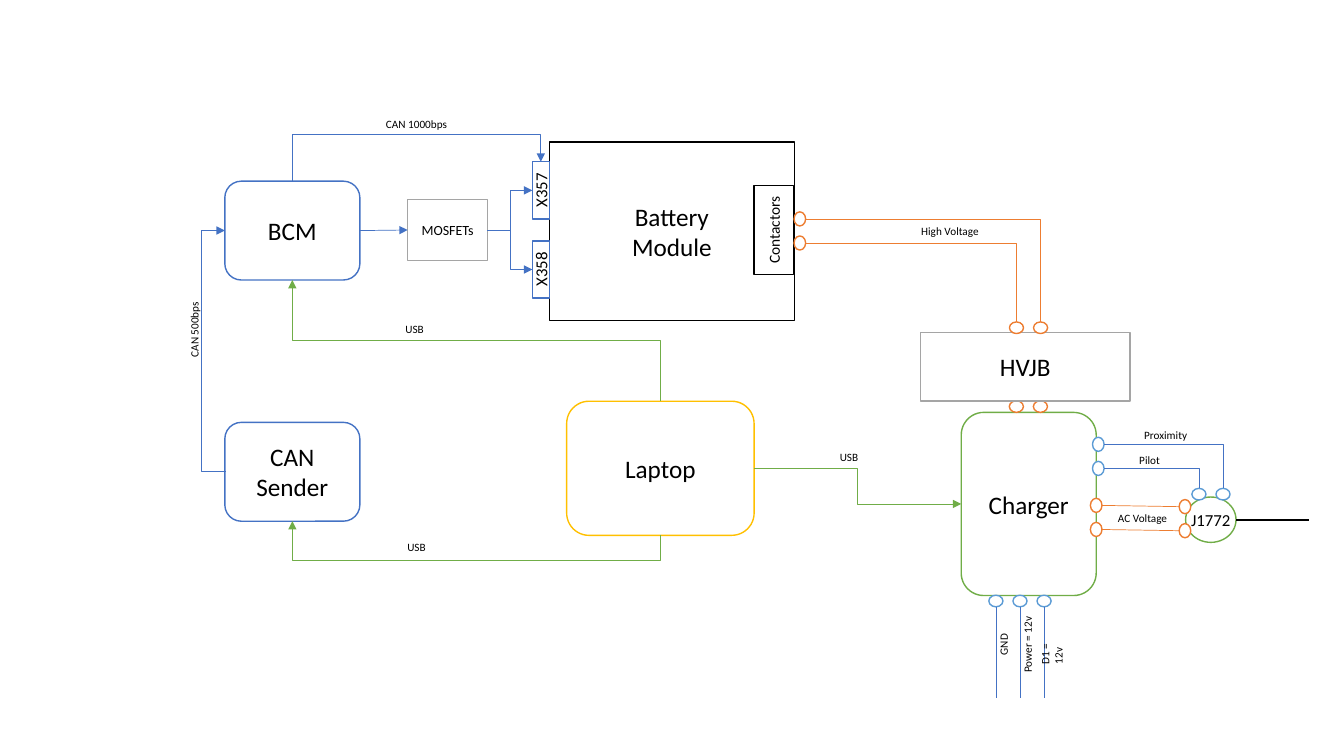
from collections import namedtuple

from lxml.etree import SubElement
from pptx import Presentation
from pptx.dml.color import RGBColor
from pptx.enum.shapes import MSO_CONNECTOR, MSO_SHAPE
from pptx.enum.text import MSO_ANCHOR, MSO_AUTO_SIZE, PP_ALIGN
from pptx.oxml.ns import qn
from pptx.util import Pt

BLACK = RGBColor(0x00, 0x00, 0x00)
WHITE = RGBColor(0xFF, 0xFF, 0xFF)
BLUE = RGBColor(0x44, 0x72, 0xC4)
SKY = RGBColor(0x5B, 0x9B, 0xD5)
GREEN = RGBColor(0x70, 0xAD, 0x47)
ORANGE = RGBColor(0xED, 0x7D, 0x31)
GOLD = RGBColor(0xFF, 0xC0, 0x00)
GRAY = RGBColor(0xA5, 0xA5, 0xA5)

PITCH = 17.2
PIN_SHORT, PIN_LONG = 8.3, 10.1
PIN_REACH = PIN_SHORT / 2


class Box(namedtuple("Box", "left top width height")):
    """A rectangle in points with its derived edges and centre."""

    right = property(lambda self: self.left + self.width)
    bottom = property(lambda self: self.top + self.height)
    middle = property(lambda self: self.left + self.width / 2)
    level = property(lambda self: self.top + self.height / 2)

    def turned(self):
        """Return the box with its sides swapped about the same centre."""
        return centred(self.middle, self.level, self.height, self.width)

    def lengths(self):
        """Return the four measures as lengths."""
        return [Pt(value) for value in self]


def centred(x, y, width, height):
    """Return a box around a centre point."""
    return Box(x - width / 2, y - height / 2, width, height)


def write(frame, text, size=18, align=PP_ALIGN.CENTER, wrap=True, inset=None):
    """Fill a text frame with one paragraph per line of text."""
    frame.word_wrap = wrap
    frame.vertical_anchor = MSO_ANCHOR.MIDDLE
    if inset is not None:
        frame.margin_left = frame.margin_right = Pt(inset)
        frame.margin_top = frame.margin_bottom = Pt(inset)
    for number, line in enumerate(text.split("\n")):
        para = frame.paragraphs[0] if number == 0 else frame.add_paragraph()
        para.alignment = align
        span = para.add_run()
        span.text = line
        span.font.name = "Calibri"
        span.font.size = Pt(size)
        span.font.color.rgb = BLACK


def block(page, preset, box, color, text="", upright=False, **style):
    """Draw an outlined white shape, its text upright if asked."""
    place = box.turned() if upright else box
    shape = page.shapes.add_shape(preset, *place.lengths())
    shape.rotation = 270 if upright else 0
    shape.shadow.inherit = False
    shape.fill.solid()
    shape.fill.fore_color.rgb = WHITE
    shape.line.color.rgb = color
    shape.line.width = Pt(1)
    if text:
        write(shape.text_frame, text, **style)
    return shape


def label(page, text, x, y, width, upright=False):
    """Write a small wire label around a centre point."""
    shape = page.shapes.add_textbox(*centred(x, y, width, 17).lengths())
    shape.rotation = 270 if upright else 0
    write(shape.text_frame, text, size=8, align=PP_ALIGN.LEFT, wrap=False)
    shape.text_frame.auto_size = MSO_AUTO_SIZE.SHAPE_TO_FIT_TEXT


def pins(page, x, y, color, count=2, row=False):
    """Draw a row or column of terminals and return their centres."""
    size = (PIN_LONG, PIN_SHORT) if row else (PIN_SHORT, PIN_LONG)
    steps = [PITCH * number for number in range(count)]
    centres = [(x + step, y) if row else (x, y + step) for step in steps]
    for centre in centres:
        block(page, MSO_SHAPE.OVAL, centred(*centre, *size), color)
    return centres


def wire(page, start, end, color, kind=MSO_CONNECTOR.STRAIGHT, width=0.5, arrow=False):
    """Draw a connector without shadow between two points."""
    line = page.shapes.add_connector(kind, *[Pt(value) for value in (*start, *end)])
    line.line.color.rgb = color
    line.line.width = Pt(width)
    properties = line._element.spPr
    if arrow:
        SubElement(properties.find(qn("a:ln")), qn("a:tailEnd"), type="triangle")
    SubElement(properties, qn("a:effectLst"))
    return line


def elbow(page, start, end, color, bend=None, rising=False, corner=False, arrow=True):
    """Draw a bent wire; bend is the coordinate of its crossing stretch."""
    axis = 1 if rising else 0
    run = end[axis] - start[axis]
    first, last = start, end
    if rising:
        middle, level = (start[0] + end[0]) / 2, (start[1] + end[1]) / 2
        reach = abs(run) / 2
        drift = (end[0] - start[0]) / 2 * (-1 if run > 0 else 1)
        first, last = (middle - reach, level - drift), (middle + reach, level + drift)
    line = wire(page, first, last, color, MSO_CONNECTOR.ELBOW, arrow=arrow)
    properties = line._element.spPr
    if rising:
        turn = 90 if run > 0 else 270
        properties.find(qn("a:xfrm")).set("rot", str(turn * 60000))
    geometry = properties.find(qn("a:prstGeom"))
    if corner:
        geometry.set("prst", "bentConnector2")
    elif bend is not None:
        share = round((bend - start[axis]) / run * 100000)
        guides = geometry.find(qn("a:avLst"))
        SubElement(guides, qn("a:gd"), name="adj1", fmla=f"val {share}")


def draw_battery(page, box):
    """Draw the battery module; return its sockets and power terminals."""
    block(page, MSO_SHAPE.RECTANGLE, box, BLACK, "Battery\nModule")
    sockets = []
    for number, name in enumerate(("X357", "X358")):
        socket = Box(box.left - 12.2, box.top + 14 + 56.5 * number, 12.2, 41)
        block(page, MSO_SHAPE.RECTANGLE, socket, BLUE, name, upright=True, size=12)
        sockets.append(socket)
    contactors = Box(box.right - 28.8, box.top + 31.2, 28.1, 63.4)
    block(page, MSO_SHAPE.RECTANGLE, contactors, BLACK, "Contactors", upright=True, size=11)
    return sockets, pins(page, box.right + 3.9, box.top + 54.9, ORANGE)


def draw_control(page, box, sockets):
    """Draw the controllers with their CAN wires; return their boxes."""
    upper = Box(box.left, box.top, 96.5, 70.6)
    lower = Box(box.left, box.bottom - 70.6, 96.5, 70.6)
    switch = Box(box.right - 57, box.top + 13.2, 57, 43.4)
    manager = block(page, MSO_SHAPE.ROUNDED_RECTANGLE, upper, BLUE, "BCM")
    block(page, MSO_SHAPE.ROUNDED_RECTANGLE, lower, BLUE, "CAN Sender")
    mosfets = block(page, MSO_SHAPE.RECTANGLE, switch, GRAY, "MOSFETs", size=10)
    link = wire(page, (upper.right, upper.level), (switch.left, switch.level), BLUE, arrow=True)
    link.begin_connect(manager, 3)
    link.end_connect(mosfets, 1)
    for socket in sockets:
        elbow(page, (switch.right, switch.level), (socket.left, socket.level), BLUE)
    elbow(page, (upper.middle, upper.top), (sockets[0].middle, sockets[0].top), BLUE,
          bend=upper.top - 33.4, rising=True)
    elbow(page, (lower.left + 0.7, lower.level), (upper.left, upper.level), BLUE,
          bend=box.left - 16.8)
    label(page, "CAN 1000bps", box.left + 137.1, box.top - 41, 58.3)
    label(page, "CAN 500bps", box.left - 22, box.top + 106, 54, upright=True)
    return upper, lower


def draw_junction(page, box, supply):
    """Draw the high voltage junction box and its wires from the supply."""
    block(page, MSO_SHAPE.RECTANGLE, box, GRAY, "HVJB")
    inputs = pins(page, box.middle - 6.2, box.top - 3.4, ORANGE, row=True)
    for (x, y), (column, top) in zip(supply, reversed(inputs)):
        elbow(page, (x + PIN_REACH, y), (column, top - PIN_REACH), ORANGE,
              corner=True, arrow=False)
    label(page, "High Voltage", box.left + 21.6, box.top - 72.4, 56.2)


def draw_charger(page, box):
    """Draw the charger and its leads; return signal and power terminals."""
    block(page, MSO_SHAPE.ROUNDED_RECTANGLE, box, GREEN, "Charger")
    pins(page, box.left + 39.4, box.top - 4.2, ORANGE, row=True)
    leads = pins(page, box.left + 24.8, box.bottom + 3.9, SKY, count=3, row=True)
    names = (("GND", 29.5), ("Power = 12v", 54.7), ("D1 = 12v", 42.5))
    for (x, y), (name, width) in zip(leads, names):
        wire(page, (x, y + PIN_REACH), (x, y + 69), BLUE)
        label(page, name, x + 5.3, y + 31, width, upright=True)
    signals = pins(page, box.right + 1.5, box.top + 22.8, SKY)
    return signals, pins(page, box.right, box.top + 66.4, ORANGE)


def draw_inlet(page, box, signals, power):
    """Draw the charging inlet and its wires from the charger."""
    block(page, MSO_SHAPE.OVAL, box, GREEN, "J1772", size=12, wrap=False, inset=0)
    contacts = pins(page, box.left - 0.5, box.top + 6.9, ORANGE)
    for (x, y), (end, level) in zip(power, contacts):
        wire(page, (x + PIN_REACH, y), (end - PIN_REACH, level), ORANGE)
    heads = pins(page, box.left + 9.5, box.top - 2, SKY, row=True)
    for (x, y), (column, top) in zip(signals, reversed(heads)):
        elbow(page, (x + PIN_REACH, y), (column, top - PIN_REACH), BLUE,
              corner=True, arrow=False)
    wire(page, (box.right, box.level), (box.right + 52.3, box.level), BLACK, width=1.5)
    label(page, "Proximity", box.left - 13.7, box.top - 43.9, 46.1)
    label(page, "Pilot", box.left - 25.5, box.top - 26.7, 29.5)
    label(page, "AC Voltage", box.left - 30.2, box.top + 15.2, 50.4)


def draw_laptop(page, box, upper, lower, charger):
    """Draw the laptop and its USB wires to both controllers and the charger."""
    block(page, MSO_SHAPE.ROUNDED_RECTANGLE, box, GOLD, "Laptop")
    elbow(page, (box.middle, box.top), (upper.middle, upper.bottom), GREEN, rising=True)
    elbow(page, (box.middle, box.bottom), (lower.middle, lower.bottom), GREEN,
          bend=box.bottom + 17.8, rising=True)
    elbow(page, (box.right, box.level), (charger.left, charger.level), GREEN)
    for x, y in ((-108.3, -51.8), (-106.9, 104.4), (202, 39.6)):
        label(page, "USB", box.left + x, box.top + y, 28.1)


def main():
    """Build the wiring diagram and save it."""
    deck = Presentation()
    deck.slide_width, deck.slide_height = Pt(960), Pt(540)
    page = deck.slides.add_slide(deck.slide_layouts[6])
    charger = Box(686.6, 294.6, 96.4, 130.8)
    sockets, supply = draw_battery(page, Box(392.4, 101.5, 175, 127.4))
    upper, lower = draw_control(page, Box(160.6, 129.4, 187.6, 242.9), sockets)
    signals, power = draw_charger(page, charger)
    draw_junction(page, Box(657.4, 237.5, 149.8, 49), supply)
    draw_inlet(page, Box(846.9, 355, 36, 32.4), signals, power)
    draw_laptop(page, Box(404.8, 286.6, 133.9, 95.8), upper, lower, charger)
    deck.save("out.pptx")


if __name__ == "__main__":
    main()
